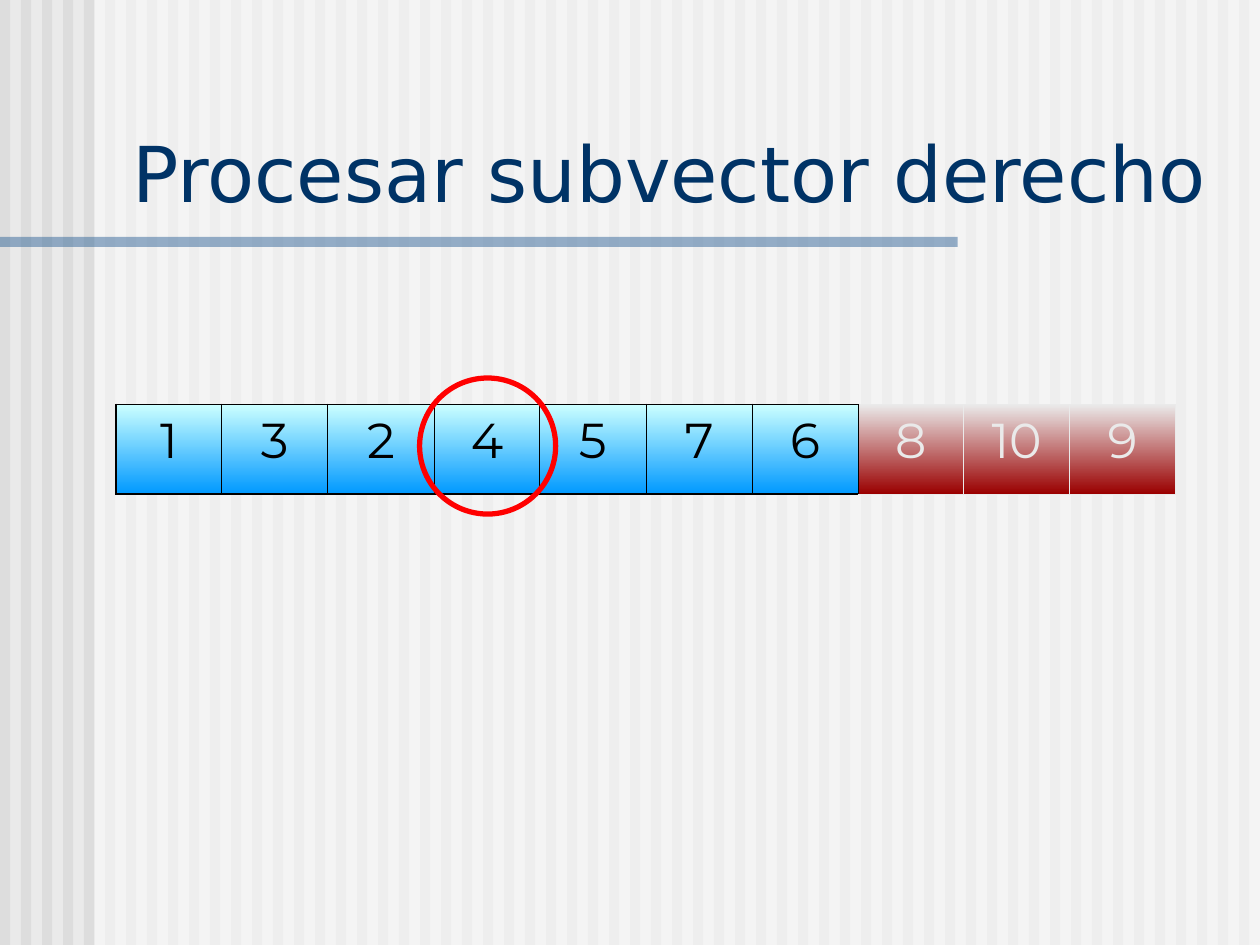
from lxml import etree
from pptx import Presentation
from pptx.dml.color import RGBColor
from pptx.enum.shapes import MSO_SHAPE
from pptx.enum.text import MSO_ANCHOR, MSO_AUTO_SIZE, PP_ALIGN
from pptx.oxml.ns import qn
from pptx.util import Inches, Pt

RECT, OVAL = MSO_SHAPE.RECTANGLE, MSO_SHAPE.OVAL
LEFT, CENTER = PP_ALIGN.LEFT, PP_ALIGN.CENTER
BOTTOM, GROW = MSO_ANCHOR.BOTTOM, MSO_AUTO_SIZE.SHAPE_TO_FIT_TEXT
PLAIN = "{2D5ABB26-0587-4C30-8999-92F81FD0307C}"

TITLE = "Procesar subvector derecho"
DONE = {0: "1", 1: "3", 2: "2", 4: "4", 5: "5", 7: "7", 8: "6"}
LAST = {9: "8", 10: "10", 11: "9"}
COLS = [0.84, 0.84, 0.65, 0.2, 0.83, 0.22, 0.63] + [0.84] * 5
ROWS = [0.71, 0.71, 1.28]
SPANS = [(0, 2, 3), (0, 5, 6), (1, 2, 3), (1, 5, 6), (2, 3, 5)]
BLACK, PALE = "000000", "EAEAEA"
THICK, THIN = 1.08, 0.45
STRIPES = 60


def color(code):
    return RGBColor.from_string(code)


def shape(shapes, kind, box, fill=None, alpha=None):
    item = shapes.add_shape(kind, *[Inches(v) for v in box])
    item.shadow.inherit = False
    item.line.fill.background()
    if fill is None:
        item.fill.background()
    else:
        item.fill.solid()
        item.fill.fore_color.rgb = color(fill)
    if alpha:
        tone = item._element.spPr.find(".//" + qn("a:srgbClr"))
        etree.SubElement(tone, qn("a:alpha"), val=str(alpha * 1000))
    return item


def write(para, text, size, font, tint):
    run = para.add_run()
    run.text = text
    run.font.size = Pt(size)
    run.font.name = font
    run.font.color.rgb = color(tint)


def border(cell, sides):
    props = cell._tc.get_or_add_tcPr()
    for side, (tint, width) in sides.items():
        line = etree.SubElement(props, qn("a:ln" + side), w=str(Pt(width)))
        fill = etree.SubElement(line, qn("a:solidFill"))
        etree.SubElement(fill, qn("a:srgbClr"), val=tint)


def shade(cell, *tones):
    cell.fill.gradient()
    cell.fill.gradient_angle = 270
    for stop, tone in zip(cell.fill.gradient_stops, tones):
        stop.color.rgb = color(tone)


def backdrop(slide):
    slide.background.fill.solid()
    slide.background.fill.fore_color.rgb = color(PALE)
    group = slide.shapes.add_group_shape()
    for i in range(STRIPES):
        shape(group.shapes, RECT, (i / 6, 0, 0.08, 7.5), "DDDDDD")
    shape(group.shapes, RECT, (0.75, 0, 9.25, 7.5), "FFFFFF", 50)
    shape(group.shapes, RECT, (0, 1.88, 7.6, 0.08), "336699", 50)


def heading(slide):
    title = slide.shapes.title
    title.left, title.top = Inches(0.95), Inches(0.94)
    title.width, title.height = Inches(8.93), Inches(0.84)
    frame = title.text_frame
    frame.word_wrap = True
    frame.auto_size = GROW
    frame.vertical_anchor = BOTTOM
    para = frame.paragraphs[0]
    para.alignment = LEFT
    write(para, TITLE, 44, "DejaVu Sans", "003366")
    slide.shapes._spTree.append(title._element)


def vector(slide):
    box = [Inches(v) for v in (0.92, 2.5, sum(COLS), sum(ROWS))]
    table = slide.shapes.add_table(len(ROWS), len(COLS), *box).table
    table.first_row = table.horz_banding = False
    table._tbl.tblPr.find(qn("a:tableStyleId")).text = PLAIN
    for col, width in zip(table.columns, COLS):
        col.width = Inches(width)
    for row, height in zip(table.rows, ROWS):
        row.height = Inches(height)
    for row, start, end in SPANS:
        table.cell(row, start).merge(table.cell(row, end))
    for c in range(len(COLS)):
        late = c in LAST
        edge = (PALE, THIN) if late else (BLACK, THICK)
        side = (edge[0], THIN)
        left = (BLACK, THICK if c == 0 else THIN) if c in (0, 9) else side
        border(table.cell(0, c), {"B": edge})
        border(table.cell(2, c), {"T": edge})
        cell = table.cell(1, c)
        border(cell, {"L": left, "R": side, "T": edge, "B": edge})
        for r in (0, 2):
            table.cell(r, c).fill.background()
        shade(cell, *((PALE, "9A0000") if late else ("CCFFFF", "0099FF")))
        text = (DONE | LAST).get(c)
        if text:
            para = cell.text_frame.paragraphs[0]
            para.alignment = CENTER
            write(para, text, 28, "Montserrat", PALE if late else BLACK)


def main():
    """Build the slide on the right subvector."""
    deck = Presentation()
    deck.slide_width, deck.slide_height = Inches(10), Inches(7.5)
    slide = deck.slides.add_slide(deck.slide_layouts[5])
    backdrop(slide)
    vector(slide)
    heading(slide)
    ring = shape(slide.shapes, OVAL, (3.33, 3, 1.08, 1.08))
    ring.line.color.rgb = color("FF0000")
    ring.line.width = Pt(3)
    deck.save("out.pptx")


if __name__ == "__main__":
    main()
